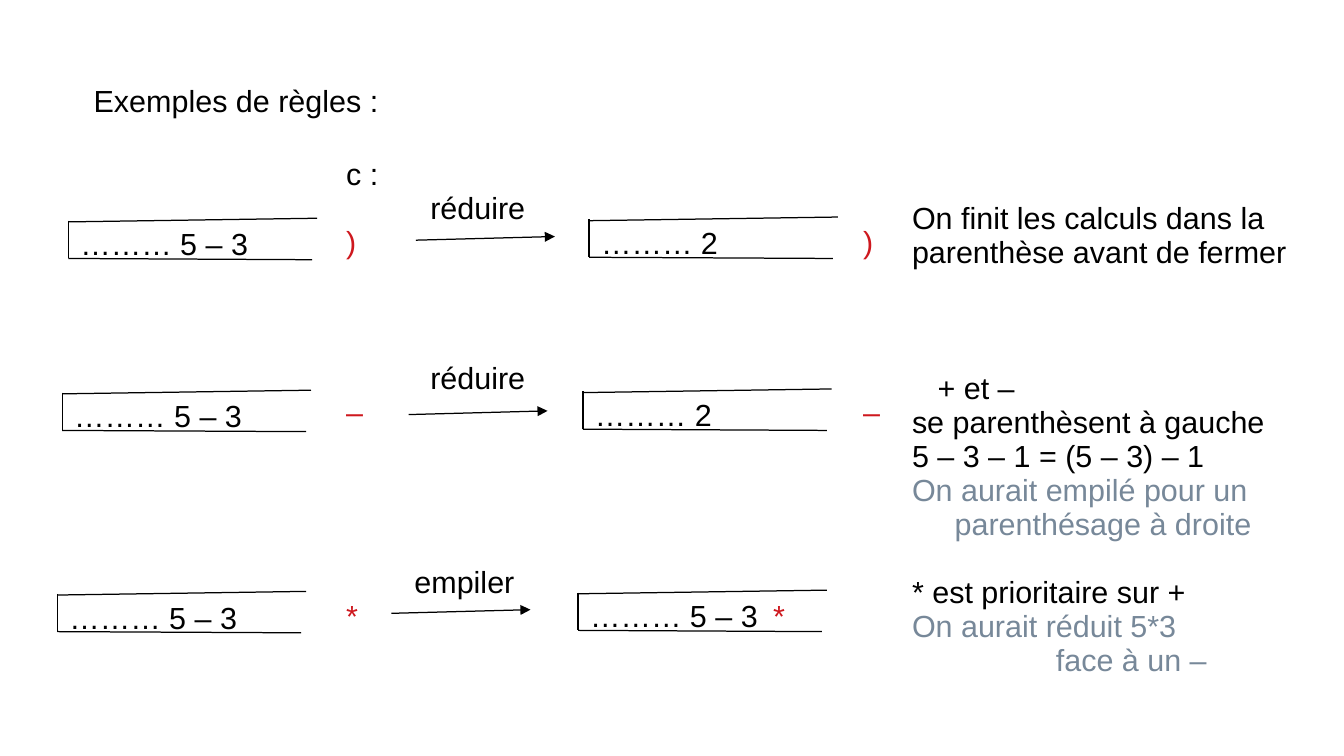
from dataclasses import dataclass
from typing import NamedTuple, Optional

from lxml.etree import SubElement
from pptx import Presentation
from pptx.dml.color import RGBColor as Rgb
from pptx.enum.shapes import MSO_CONNECTOR as Conn
from pptx.oxml.ns import qn
from pptx.util import Inches, Pt


@dataclass(frozen=True)
class Theme:
    font: str = "Arial"
    size: float = 18
    pitch: float = 20.1  # height of one text line, in points
    line: float = 0.75
    black: Rgb = Rgb(0x00, 0x00, 0x00)
    red: Rgb = Rgb(0xCE, 0x18, 0x1E)
    grey: Rgb = Rgb(0x77, 0x88, 0x99)


T = Theme()


class Line(NamedTuple):
    text: str
    color: Rgb = T.black
    skip: int = 0  # free lines above
    indent: float = 0
    tab: Optional[float] = None
    tail: str = ""  # red ending after the tab


class Rule(NamedTuple):
    x: float
    y: float
    arrow_x: float
    arrow_y: float
    result: Line
    result_w: float = 1.62


RULES = [
    Rule(0.56, 1.80, 3.41, 1.97, Line("……… 2")),
    Rule(0.51, 3.21, 3.35, 3.40, Line("……… 2")),
    Rule(0.47, 4.86, 3.21, 5.03, Line("……… 5 – 3", tab=1.5, tail="*"), 2.46),
]
RESULT_DX, RESULT_DY = 4.27, -0.01
STACK_EDGES = [  # left, top and bottom edges, from the stack's corner
    (0, 0.01, 0, 0.32),
    (0, 0.02, 2.04, -0.01),
    (0, 0.32, 2.0, 0.33),
]

ACTIONS = [
    Line("c :"),
    Line("réduire", indent=0.69),
    Line(")", T.red),
    Line("réduire", skip=3, indent=0.69),
    Line("–", T.red),
    Line("empiler", skip=4, indent=0.56),
    Line("*", T.red),
]
NEXT_SYMBOLS = [Line(")", T.red), Line("–", T.red, skip=4)]
NOTES = [
    Line("On finit les calculs dans la"),
    Line("parenthèse avant de fermer"),
    Line("+ et –", skip=3, indent=0.21),
    Line("se parenthèsent à gauche"),
    Line("5 – 3 – 1 = (5 – 3) – 1"),
    Line("On aurait empilé pour un", T.grey),
    Line("parenthésage à droite", T.grey, indent=0.35),
    Line("* est prioritaire sur +", skip=1),
    Line("On aurait réduit 5*3", T.grey),
    Line("face à un –", T.grey, indent=1.18),
]

prs = Presentation()
prs.slide_width, prs.slide_height = Inches(11.02), Inches(6.2)
s = prs.slides.add_slide(prs.slide_layouts[6])


def add_run(p, text: str, *, color: Rgb = T.black, size: float = T.size) -> None:
    r = p.add_run()
    r.text = text
    r.font.name, r.font.size = T.font, Pt(size)
    r.font.color.rgb = color


def add_text(lines: list[Line], x: float, y: float, w: float, h: float) -> None:
    tf = s.shapes.add_textbox(Inches(x), Inches(y), Inches(w), Inches(h)).text_frame
    tf.word_wrap = True
    tf.margin_left = tf.margin_right = Inches(0.1)
    tf.margin_top, tf.margin_bottom = Inches(0.07), Inches(0.05)
    for i, line in enumerate(lines):
        p = tf.add_paragraph() if i else tf.paragraphs[0]
        p.line_spacing = Pt(T.pitch)
        if line.skip:
            p.space_before = Pt(line.skip * T.pitch)
        pPr = p._p.get_or_add_pPr()
        if line.indent:
            pPr.set("marL", str(Inches(line.indent)))
        if line.tab:
            stops = SubElement(pPr, qn("a:tabLst"))
            SubElement(stops, qn("a:tab"), pos=str(Inches(line.tab)), algn="l")
        add_run(p, line.text, color=line.color)
        if line.tail:
            add_run(p, "\t" + line.tail, color=T.red)


def add_line(x1: float, y1: float, x2: float, y2: float, arrow: bool = False) -> None:
    sp = s.shapes.add_connector(
        Conn.STRAIGHT, Inches(x1), Inches(y1), Inches(x2), Inches(y2))
    sp.line.width = Pt(T.line)
    sp.line.color.rgb = T.black
    if arrow:
        SubElement(sp.line._get_or_add_ln(), qn("a:tailEnd"), type="triangle")
    SubElement(sp._element.spPr, qn("a:effectLst"))


def add_stack(content: Line, x: float, y: float, w: float = 1.62) -> None:
    for x1, y1, x2, y2 in STACK_EDGES:
        add_line(x + x1, y + y1, x + x2, y + y2)
    add_text([content], x, y, w, 0.38)


# Heading
add_text([Line("Exemples de règles :")], 0.67, 0.62, 2.66, 0.71)

# Stacks before and after each rule, with the arrow between them
for rule in RULES:
    add_stack(Line("……… 5 – 3"), rule.x, rule.y)
    add_stack(rule.result, rule.x + RESULT_DX, rule.y + RESULT_DY, rule.result_w)
    add_line(rule.arrow_x, rule.arrow_y,
             rule.arrow_x + 1.14, rule.arrow_y - 0.03, arrow=True)

# Text columns: symbols read and actions, symbols left, explanations
add_text(ACTIONS, 2.74, 1.22, 2.04, 4.02)
add_text(NEXT_SYMBOLS, 6.98, 1.78, 0.76, 2.9)
add_text(NOTES, 7.38, 1.58, 3.36, 4.22)

prs.save("out.pptx")
